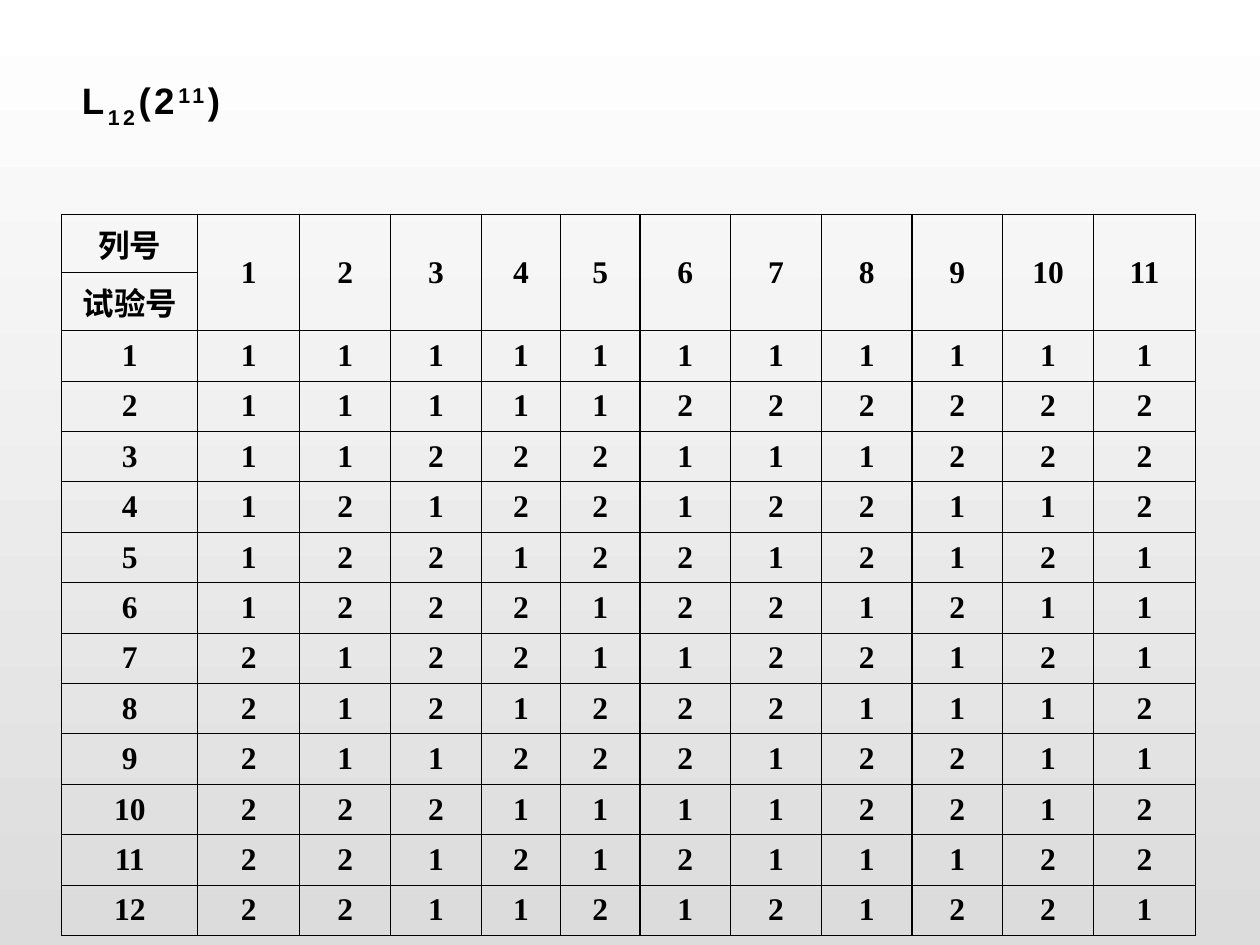
from lxml import etree
from pptx import Presentation
from pptx.dml.color import RGBColor
from pptx.enum.text import MSO_ANCHOR, MSO_AUTO_SIZE, PP_ALIGN
from pptx.oxml.ns import qn
from pptx.util import Inches, Pt

BLACK = RGBColor(0x00, 0x00, 0x00)
WHITE = RGBColor(0xFF, 0xFF, 0xFF)
GREY = RGBColor(0xDC, 0xDC, 0xDC)

# Title runs: text, baseline shift in thousandths of a percent
TITLE = [("L", 0), ("12", -30000), ("(2", 0), ("11", 30000), (")", 0)]
COLUMN_LABEL, TRIAL_LABEL = "列号", "试验号"
# One string per trial, one digit per factor column
LEVELS = [
    "11111111111",
    "11111222222",
    "11222111222",
    "12122122112",
    "12212212121",
    "12221221211",
    "21221122121",
    "21212221112",
    "21122212211",
    "22211112212",
    "22121211122",
    "22112121221",
]
COLUMN_WIDTHS = [1.08, 0.81, 0.72, 0.72, 0.63, 0.63] + [0.72] * 5 + [0.81]
ROW_HEIGHT = 0.4
HEADER_ROWS = 2


def add_borders(cell):
    properties = cell._tc.get_or_add_tcPr()
    for side in ("lnL", "lnR", "lnT", "lnB"):
        line = etree.SubElement(properties, qn(f"a:{side}"), w=str(Pt(0.75)))
        fill = etree.SubElement(line, qn("a:solidFill"))
        etree.SubElement(fill, qn("a:srgbClr"), val=str(BLACK))


def add_span(para, text, font_name, size):
    span = para.add_run()
    span.text = text
    span.font.name = font_name
    span.font.size = Pt(size)
    span.font.bold = True
    span.font.color.rgb = BLACK
    return span


def fill_title(title):
    title.left, title.top = Inches(0.55), Inches(0.47)
    title.width, title.height = Inches(8.9), Inches(0.71)
    frame = title.text_frame
    frame.auto_size = MSO_AUTO_SIZE.NONE
    frame.vertical_anchor = MSO_ANCHOR.MIDDLE
    para = frame.paragraphs[0]
    para.alignment = PP_ALIGN.LEFT
    for text, baseline in TITLE:
        properties = add_span(para, text, "Arial", 21).font._element
        properties.set("spc", "200")
        if baseline:
            properties.set("baseline", str(baseline))


def add_array_table(page):
    factors = [str(number) for number in range(1, len(LEVELS[0]) + 1)]
    rows = [[COLUMN_LABEL, *factors], [TRIAL_LABEL] + [""] * len(factors)]
    rows += [[str(trial), *levels] for trial, levels in enumerate(LEVELS, 1)]

    table = page.shapes.add_table(
        len(rows), len(COLUMN_WIDTHS), Inches(0.49), Inches(1.7),
        Inches(sum(COLUMN_WIDTHS)), Inches(ROW_HEIGHT * len(rows))).table
    table.first_row = table.horz_banding = False
    for column, width in zip(table.columns, COLUMN_WIDTHS):
        column.width = Inches(width)
    for row, values in zip(table.rows, rows):
        row.height = Inches(ROW_HEIGHT)
        for cell, value in zip(row.cells, values):
            add_borders(cell)
            cell.fill.background()
            cell.vertical_anchor = MSO_ANCHOR.MIDDLE
            para = cell.text_frame.paragraphs[0]
            para.alignment = PP_ALIGN.CENTER
            if value:
                add_span(para, value, "Times New Roman", 18)
    for column in range(1, len(COLUMN_WIDTHS)):
        table.cell(0, column).merge(table.cell(HEADER_ROWS - 1, column))


def main():
    deck = Presentation()
    deck.slide_width, deck.slide_height = Inches(10), Inches(7.5)
    page = deck.slides.add_slide(deck.slide_layouts[5])

    backdrop = page.background.fill
    backdrop.gradient()
    backdrop.gradient_angle = 270
    for stop, color in zip(backdrop.gradient_stops, (WHITE, GREY)):
        stop.color.rgb = color

    fill_title(page.shapes.title)
    add_array_table(page)
    deck.save("out.pptx")


if __name__ == "__main__":
    main()
